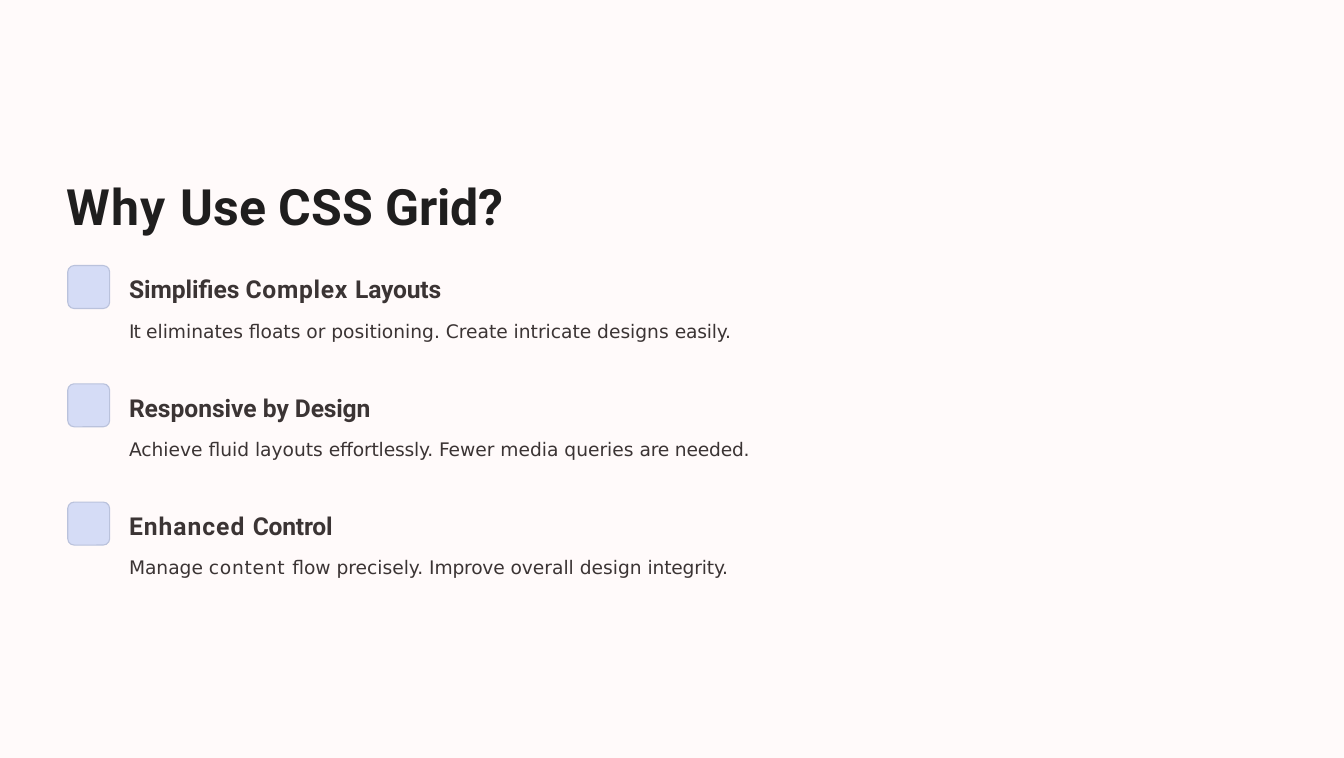
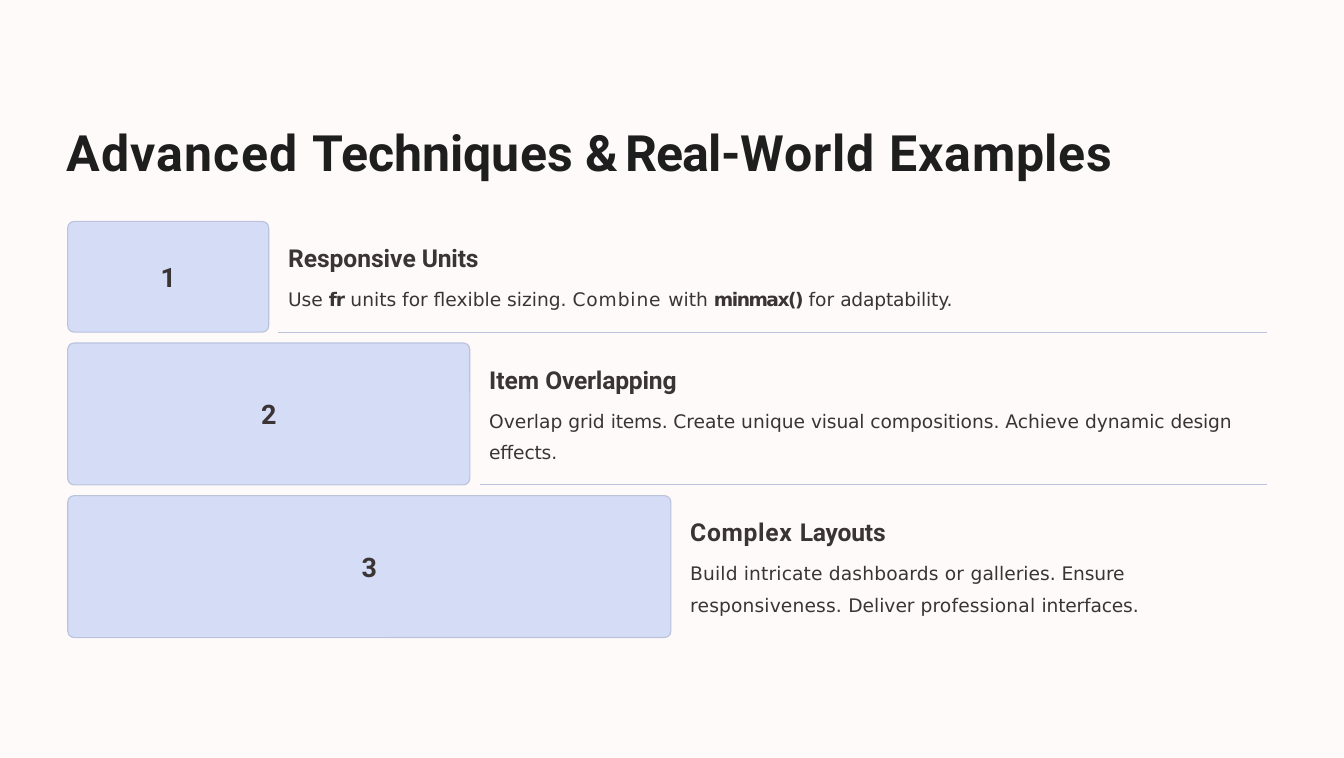
from lxml.etree import SubElement
from pptx import Presentation
from pptx.dml.color import RGBColor
from pptx.enum.shapes import MSO_CONNECTOR, MSO_SHAPE
from pptx.enum.text import MSO_ANCHOR, PP_ALIGN
from pptx.oxml.ns import qn
from pptx.util import Inches, Pt

PALE, EDGE, INK, DARK, PAPER = "D5DCF6", "BAC2DC", "3B3434", "1F1E1E", "FFFAFA"
HEAD, BODY = "Roboto", "DejaVu Sans"
LEFT, RIGHT = 0.63, 11.78


def tint(part, code):
    if hasattr(part, "solid"):
        part.solid()
        part = part.fore_color
    part.rgb = RGBColor.from_string(code)


def write(par, runs, face, size, code, bold=True):
    for text, space, *flag in runs:
        run = par.add_run()
        run.text = text
        font = run.font
        font.name, font.size, font.bold = face, Pt(size), bold or bool(flag)
        tint(font.color, code)
        run._r.get_or_add_rPr().set("spc", str(round(space * 100)))


deck = [
    {
        "title": [("Why ", 0.8), ("Use CSS ", 0), ("Grid?", -0.1)],
        "head": 1.63, "top": 2.47, "gap": 0.7, "inset": 0.08, "steps": False,
        "rows": [
            (0.39, 0.4,
             [("Simplifies ", 0), ("Complex ", 0.5), ("Layouts", -0.1)],
             [("It ", -0.5),
              ("eliminates floats or positioning. Create intricate designs ", 0),
              ("easily.", -0.1)]),
            (0.39, 0.4,
             [("Responsive by ", 0), ("Design", -0.1)],
             [("Achieve fluid layouts ", 0), ("effortlessly. ", -0.1),
              ("Fewer media queries ", 0), ("are needed.", -0.1)]),
            (0.39, 0.4,
             [("Enhanced ", 0.7), ("Control", -0.1)],
             [("Manage ", 0), ("content ", 0.5), ("flow precisely. ", 0),
              ("Improve ", -0.1), ("overall design ", 0), ("integrity.", -0.1)]),
        ],
    },
    {
        "title": [("Advanced ", 0.8), ("Techniques ", 0), ("& ", -3.4),
                  ("Real-", -0.5), ("World ", 0.6), ("Examples", 0.5)],
        "head": 1.13, "top": 2.06, "gap": 0.1, "inset": 0.2, "steps": True,
        "rows": [
            (1.87, 1.03,
             [("Responsive ", 0), ("Units", -0.1)],
             [("Use ", 0), ("fr ", -0.7, True), ("units for flexible sizing. ", 0),
              ("Combine ", 0.6), ("with ", 0), ("minmax() ", -1, True),
              ("for ", 0), ("adaptability.", -0.1)]),
            (3.74, 1.32,
             [("Item ", 0), ("Overlapping", -0.1)],
             [("Overlap grid ", 0), ("items. ", -0.1), ("Create unique ", 0),
              ("visual ", -0.1), ("compositions. Achieve dynamic ", 0),
              ("design effects.", -0.1)]),
            (5.61, 1.32,
             [("Complex ", 0.5), ("Layouts", -0.1)],
             [("Build intricate dashboards or ", 0.1), ("galleries. ", 0),
              ("Ensure ", -0.1), ("responsiveness. ", 0.1), ("Deliver ", 0),
              ("professional ", 0.1), ("interfaces.", -0.1)]),
        ],
    },
]

prs = Presentation()
prs.slide_width, prs.slide_height = Inches(12.5), Inches(7.05)
tint(prs.slide_master.background.fill, PAPER)

for page in deck:
    slide = prs.slides.add_slide(prs.slide_layouts[6])
    shapes = slide.shapes
    rows = page["rows"]
    texts = [(0.62, page["head"], 11, 0.6, page["title"], None)]
    top = page["top"]

    for num, (wide, high, name, body) in enumerate(rows, 1):
        card = shapes.add_shape(MSO_SHAPE.ROUNDED_RECTANGLE, Inches(LEFT), Inches(top),
                                Inches(wide), Inches(high))
        card.adjustments[0] = 0.06 / min(wide, high)
        card.shadow.inherit = False
        tint(card.fill, PALE)
        tint(card.line.fill, EDGE)
        card.line.width = Pt(0.75)
        end = LEFT + wide
        if page["steps"]:
            frame = card.text_frame
            frame.vertical_anchor = MSO_ANCHOR.MIDDLE
            frame.paragraphs[0].alignment = PP_ALIGN.CENTER
            write(frame.paragraphs[0], [(str(num), 0)], HEAD, 18, INK)
            if num < len(rows):
                base = Inches(top + high)
                rule = shapes.add_connector(MSO_CONNECTOR.STRAIGHT, Inches(end + 0.09),
                                            base, Inches(RIGHT), base)
                tint(rule.line.fill, EDGE)
                rule.line.width = Pt(0.75)
                SubElement(rule._element.spPr, qn("a:effectLst"))
        start = end + 0.18
        texts.append((start, top + page["inset"], RIGHT - start, 0.9, name, body))
        top += high + page["gap"]

    for x, y, wide, high, name, body in texts:
        box = shapes.add_textbox(Inches(x), Inches(y), Inches(wide), Inches(high))
        frame = box.text_frame
        frame.word_wrap = True
        frame.margin_left = frame.margin_right = frame.margin_top = frame.margin_bottom = 0
        if body is None:
            write(frame.paragraphs[0], name, HEAD, 33.5, DARK)
        else:
            write(frame.paragraphs[0], name, HEAD, 16.5, INK)
            par = frame.add_paragraph()
            par.line_spacing, par.space_before = 1.4, Pt(4.5)
            write(par, body, BODY, 12.5, INK, False)

prs.save("out.pptx")
